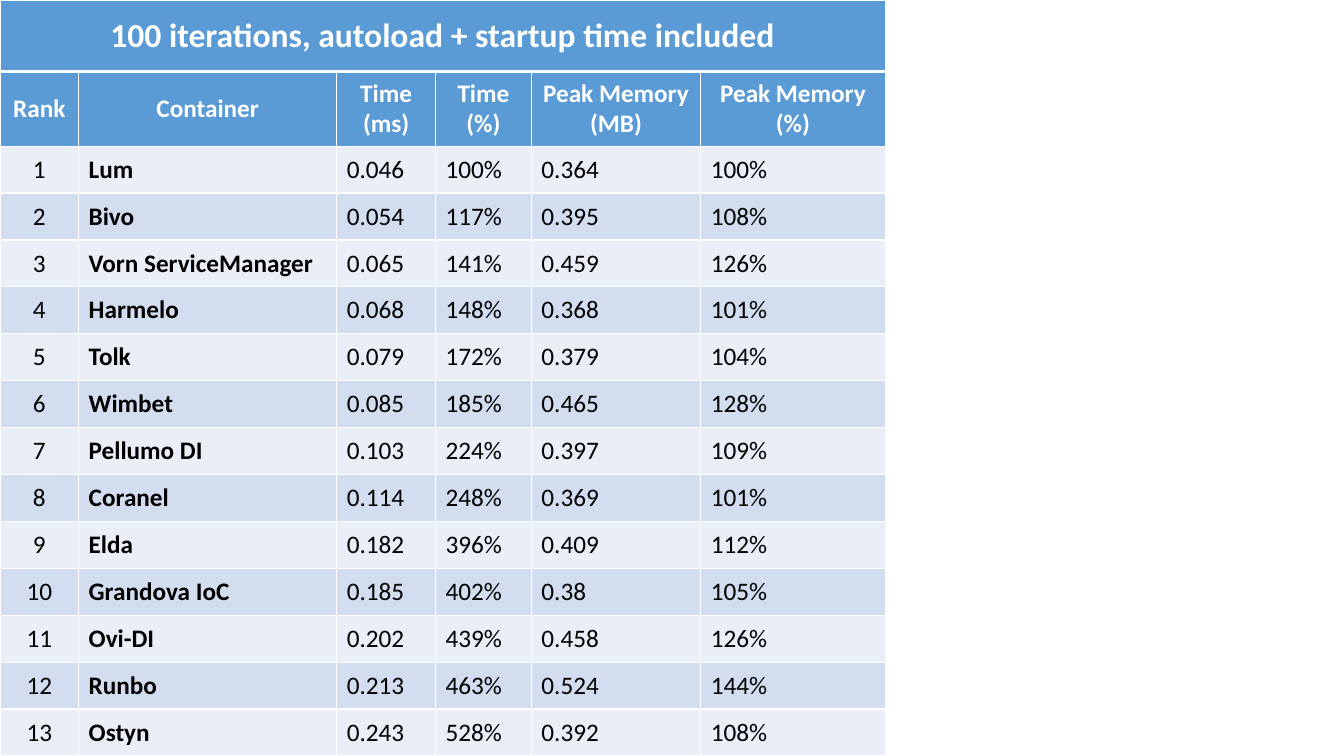
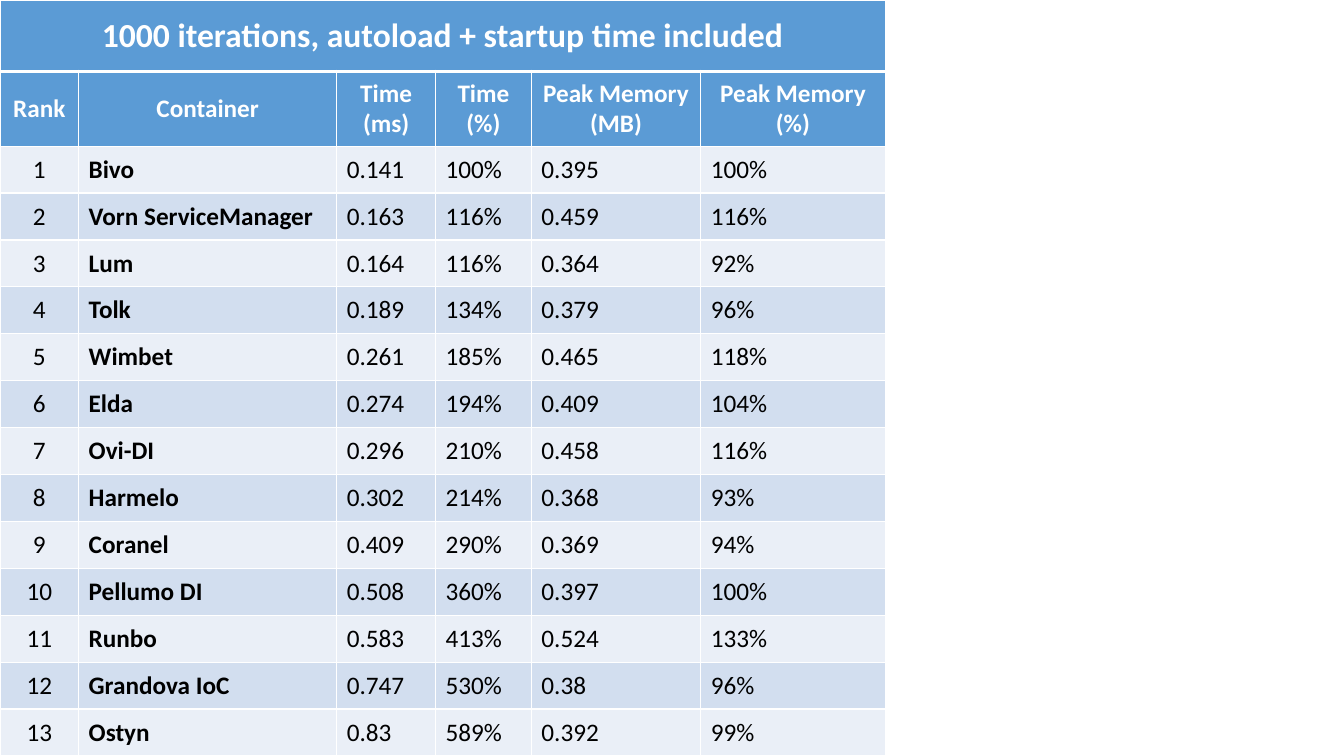
"""Draw two ranked benchmark tables of dependency injection containers."""
from dataclasses import dataclass

from lxml import etree
from pptx import Presentation
from pptx.dml.color import RGBColor
from pptx.enum.text import MSO_ANCHOR, PP_ALIGN
from pptx.oxml.ns import qn
from pptx.util import Inches, Pt

MIDDLE = MSO_ANCHOR.MIDDLE
LEFT, CENTER = PP_ALIGN.LEFT, PP_ALIGN.CENTER

COLORS = {
    "head": "5B9BD5",
    "light": "EAEFF7",
    "dark": "D2DEEF",
    "white": "FFFFFF",
    "black": "000000",
}
FONT = "Calibri"
HEIGHT = 7.5
WIDTHS = (0.78, 2.56, 0.98, 0.95, 1.68, 1.83)
TITLE_H, LABEL_H = 0.71, 0.74
LABELS = ("Rank", "Container", "Time (ms)", "Time (%)",
          "Peak Memory (MB)", "Peak Memory (%)")
MEMORY = {
    "Lum": "0.364", "Bivo": "0.395", "Vorn ServiceManager": "0.459",
    "Harmelo": "0.368", "Tolk": "0.379", "Wimbet": "0.465",
    "Pellumo DI": "0.397", "Coranel": "0.369", "Elda": "0.409",
    "Grandova IoC": "0.38", "Ovi-DI": "0.458", "Runbo": "0.524",
    "Ostyn": "0.392",
}


@dataclass(frozen=True)
class Result:
    name: str
    time: str
    time_pct: int
    mem_pct: int

    def texts(self, rank: int) -> tuple[str, ...]:
        return (str(rank), self.name, self.time, f"{self.time_pct}%",
                MEMORY[self.name], f"{self.mem_pct}%")


@dataclass(frozen=True)
class Bench:
    count: int
    results: tuple[Result, ...]


@dataclass(frozen=True)
class Style:
    fill: str
    ink: str = "black"
    size: int = 18
    bold: bool = False
    align: PP_ALIGN = LEFT
    base: int = 1


TITLE = Style("head", "white", 24, True, CENTER, base=3)
LABEL = Style("head", "white", 18, True, CENTER)

BENCHES = (
    Bench(100, (
        Result("Lum", "0.046", 100, 100),
        Result("Bivo", "0.054", 117, 108),
        Result("Vorn ServiceManager", "0.065", 141, 126),
        Result("Harmelo", "0.068", 148, 101),
        Result("Tolk", "0.079", 172, 104),
        Result("Wimbet", "0.085", 185, 128),
        Result("Pellumo DI", "0.103", 224, 109),
        Result("Coranel", "0.114", 248, 101),
        Result("Elda", "0.182", 396, 112),
        Result("Grandova IoC", "0.185", 402, 105),
        Result("Ovi-DI", "0.202", 439, 126),
        Result("Runbo", "0.213", 463, 144),
        Result("Ostyn", "0.243", 528, 108),
    )),
    Bench(1000, (
        Result("Bivo", "0.141", 100, 100),
        Result("Vorn ServiceManager", "0.163", 116, 116),
        Result("Lum", "0.164", 116, 92),
        Result("Tolk", "0.189", 134, 96),
        Result("Wimbet", "0.261", 185, 118),
        Result("Elda", "0.274", 194, 104),
        Result("Ovi-DI", "0.296", 210, 116),
        Result("Harmelo", "0.302", 214, 93),
        Result("Coranel", "0.409", 290, 94),
        Result("Pellumo DI", "0.508", 360, 100),
        Result("Runbo", "0.583", 413, 133),
        Result("Grandova IoC", "0.747", 530, 96),
        Result("Ostyn", "0.83", 589, 99),
    )),
)


def color(key: str) -> RGBColor:
    return RGBColor.from_string(COLORS[key])


def add_edges(cell, base: int) -> None:
    props = cell._tc.get_or_add_tcPr()
    edges = (("lnL", 1), ("lnR", 1), ("lnT", 1), ("lnB", base))
    for spot, (tag, width) in enumerate(edges):
        line = etree.Element(qn(f"a:{tag}"), w=str(Pt(width)))
        fill = etree.SubElement(line, qn("a:solidFill"))
        etree.SubElement(fill, qn("a:srgbClr"), val=COLORS["white"])
        props.insert(spot, line)


def paint(cell, style: Style) -> None:
    cell.fill.solid()
    cell.fill.fore_color.rgb = color(style.fill)
    cell.vertical_anchor = MIDDLE
    add_edges(cell, style.base)


def write(cell, text: str, style: Style) -> None:
    cell.text_frame.text = text
    para = cell.text_frame.paragraphs[0]
    para.alignment = style.align
    font = para.runs[0].font
    font.name, font.size, font.bold = FONT, Pt(style.size), style.bold
    font.color.rgb = color(style.ink)


def add_row(table, row: int, texts: tuple[str, ...],
            styles: list[Style]) -> None:
    for col, (text, style) in enumerate(zip(texts, styles)):
        cell = table.cell(row, col)
        paint(cell, style)
        write(cell, text, style)


def draw_bench(deck, bench: Bench) -> None:
    slide = deck.slides.add_slide(deck.slide_layouts[6])
    total = len(bench.results)
    cols = len(WIDTHS)
    table = slide.shapes.add_table(
        total + 2, cols, Inches(0), Inches(0),
        Inches(sum(WIDTHS)), Inches(HEIGHT)).table
    table.first_row = table.horz_banding = False
    for col, width in zip(table.columns, WIDTHS):
        col.width = Inches(width)
    step = (HEIGHT - TITLE_H - LABEL_H) / total
    for row, height in zip(table.rows, [TITLE_H, LABEL_H] + [step] * total):
        row.height = Inches(height)

    for col in range(cols):
        paint(table.cell(0, col), TITLE)
    head = table.cell(0, 0)
    head.merge(table.cell(0, cols - 1))
    write(head, f"{bench.count} iterations, autoload + startup time included",
          TITLE)
    add_row(table, 1, LABELS, [LABEL] * cols)
    for rank, result in enumerate(bench.results, 1):
        fill = "light" if rank % 2 else "dark"
        styles = [Style(fill, align=CENTER), Style(fill, bold=True)]
        styles += [Style(fill)] * (cols - 2)
        add_row(table, rank + 1, result.texts(rank), styles)


def main() -> None:
    deck = Presentation()
    deck.slide_width, deck.slide_height = Inches(13.33), Inches(HEIGHT)
    for bench in BENCHES:
        draw_bench(deck, bench)
    deck.save("out.pptx")


main()
